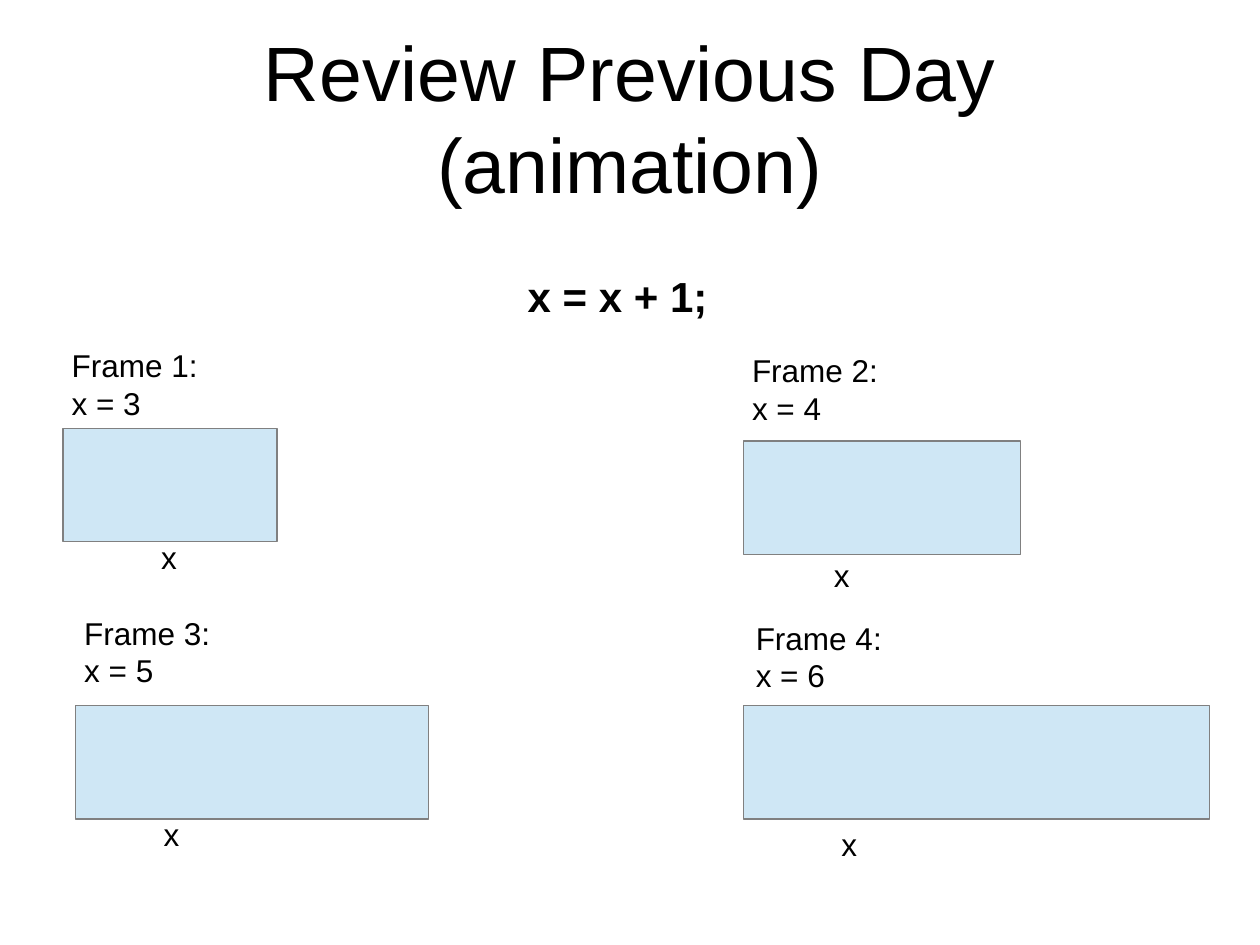
"""Build a slide that shows a box growing as x increases."""
from pptx import Presentation
from pptx.dml.color import RGBColor
from pptx.enum import shapes, text
from pptx.util import Pt

BLACK = RGBColor(0, 0, 0)
BLUE = RGBColor(0xCF, 0xE7, 0xF5)
GREY = RGBColor(0x80, 0x80, 0x80)

FRAMES = [
    (36, 244.8, 122.4, (33.84, 194.4), (84.96, 303.84)),
    (424.8, 252, 158.4, (422.64, 197.28), (469.44, 313.92)),
    (43.2, 403.2, 201.6, (41.04, 347.04), (86.4, 462.24)),
    (424.8, 403.2, 266.4, (424.8, 349.92), (473.76, 468)),
]


def add_text(slide, words, left, top, width, height, size=18, bold=False):
    """Add a wrapped text box and return its frame."""
    box = slide.shapes.add_textbox(Pt(left), Pt(top), Pt(width), Pt(height))
    frame = box.text_frame
    frame.word_wrap = True
    frame.text = words
    for run in frame.paragraphs[0].runs:
        run.font.name = "Arial"
        run.font.size = Pt(size)
        run.font.bold = bold
        run.font.color.rgb = BLACK
    return frame


def add_title(slide, words):
    """Add the centred title."""
    frame = add_text(slide, words, 36, 17.28, 648, 98.64, size=44)
    frame.margin_left = frame.margin_right = 0
    frame.margin_top = frame.margin_bottom = 0
    frame.vertical_anchor = text.MSO_ANCHOR.MIDDLE
    frame.paragraphs[0].alignment = text.PP_ALIGN.CENTER


def add_bar(slide, left, top, width):
    """Add a pale box with a hairline edge."""
    bar = slide.shapes.add_shape(
        shapes.MSO_SHAPE.RECTANGLE, Pt(left), Pt(top), Pt(width), Pt(64.8))
    bar.shadow.inherit = False
    bar.fill.solid()
    bar.fill.fore_color.rgb = BLUE
    bar.line.color.rgb = GREY
    bar.line.width = Pt(0)


def main():
    """Build and save the slide."""
    deck = Presentation()
    deck.slide_width, deck.slide_height = Pt(720), Pt(540)
    slide = deck.slides.add_slide(deck.slide_layouts[6])
    add_title(slide, "Review Previous Day (animation)")
    add_text(slide, "x = x + 1;", 294.5, 151.2, 130, 33.84, size=24, bold=True)
    for num, (left, top, width, head, name) in enumerate(FRAMES, 1):
        add_bar(slide, left, top, width)
        add_text(slide, f"Frame {num}:\vx = {num + 2}", *head, 162, 48)
        add_text(slide, "x", *name, 44.64, 27.36)
    deck.save("out.pptx")


if __name__ == "__main__":
    main()
